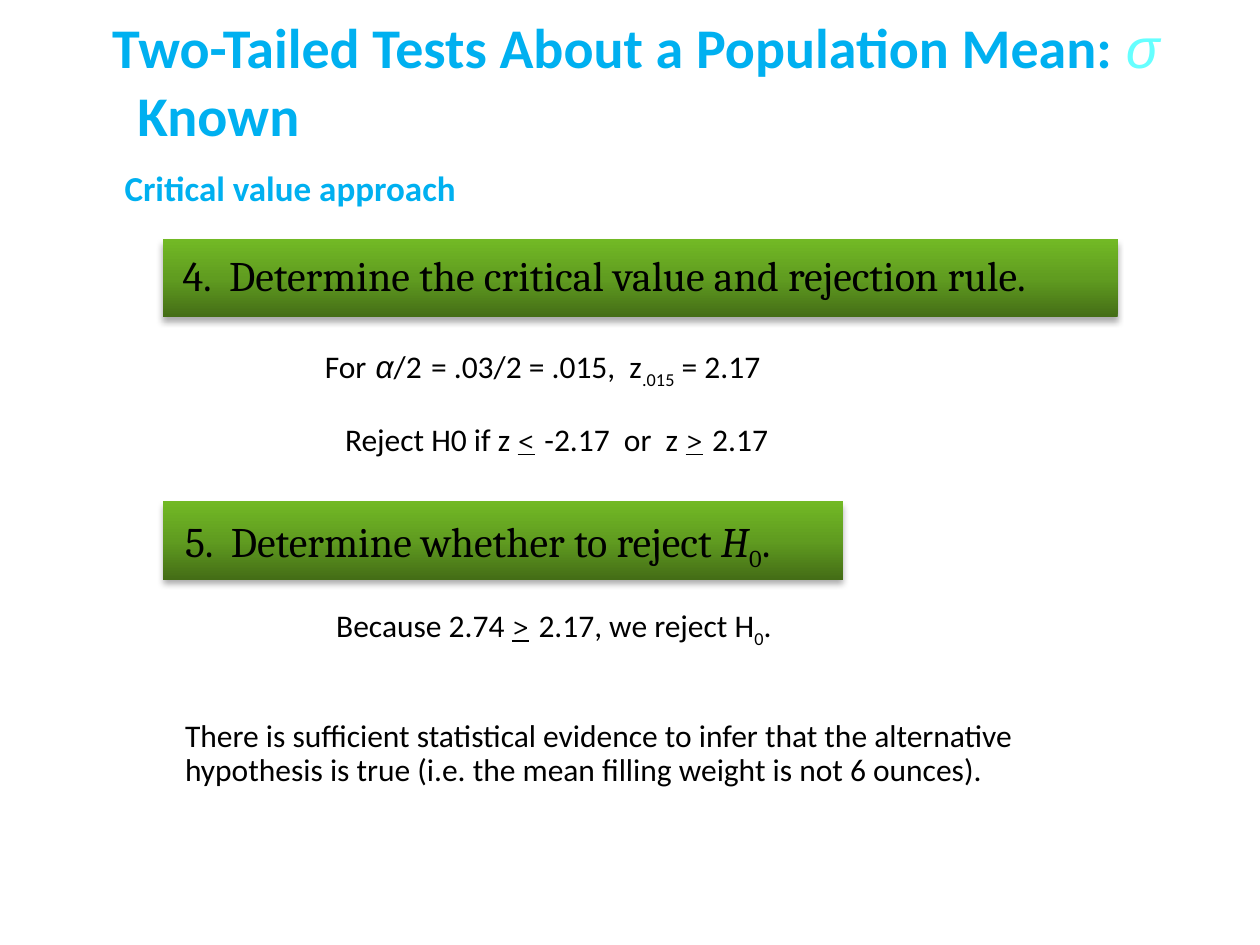
from lxml.etree import SubElement
from pptx import Presentation
from pptx.dml.color import RGBColor
from pptx.enum.shapes import MSO_SHAPE
from pptx.enum.text import MSO_ANCHOR, MSO_AUTO_SIZE, PP_ALIGN
from pptx.oxml.ns import qn
from pptx.util import Inches, Pt

BLUE, CYAN, BLACK = "00B0F0", "66FFFF", "000000"
GREENS = [(0, "446D16"), (50, "609C20"), (100, "72B925")]

# Run styles: font, size, extras
BODY = dict(font="Calibri", size=18)
SUB = dict(BODY, sub=True)
SIGN = dict(font="Cambria", size=18, underline=True)
STEP = dict(font="Cambria", size=24)
GAP = (" ", STEP)
HEADING = dict(font="Calibri", size=32, color=BLUE, bold=True)
SIGMA = dict(font="Arial", size=32, color=CYAN, bold=False, italic=True)

# Content
TITLE = [[("Two-Tailed Tests About a Population Mean: ", HEADING), ("σ", SIGMA)],
         [("Known", HEADING)]]
BANNERS = [(1.29, 1.9, 7.58, 0.62), (1.29, 3.98, 5.4, 0.62)]
LINES = [
    ((1.35, 1.93, 7.45, 0.5), [("4.  Determine the critical value and rejection rule.", STEP)]),
    ((2.48, 2.62, 3.92, 0.5), [
        ("For", BODY), GAP, ("α", dict(font="Arial", size=18, italic=True)), ("/2", BODY), GAP,
        ("= .03/2 = .015,  z", BODY), (".015", SUB), (" = 2.17", BODY)]),
    ((2.64, 3.2, 3.7, 0.5), [
        ("Reject H0 if z ", BODY), ("<", SIGN), GAP, ("-2.17  or  z ", BODY),
        (">", SIGN), GAP, ("2.17", BODY)]),
    ((1.37, 4.04, 5.28, 0.5), [
        ("5.  Determine whether to reject ", STEP), ("H", dict(STEP, italic=True)),
        ("0", dict(STEP, sub=True)), (".", STEP)]),
    ((2.57, 4.68, 3.82, 0.5), [
        ("Because 2.74 ", BODY), (">", SIGN), GAP, ("2.17, we reject H", BODY),
        ("0", SUB), (".", BODY)]),
]
# Wrapped text: place, runs, space before, line spacing
PARAGRAPHS = [
    ((0.89, 1.27, 5.93, 0.62),
     [("Critical value approach", dict(font="Calibri", size=20, color=BLUE, bold=True))], 4, 1.0),
    ((1.37, 5.67, 6.98, 1.4),
     [("There is sufficient statistical evidence to infer that the alternative "
       "hypothesis is true (i.e. the mean filling weight is not 6 ounces).", BODY)], 3.6, 0.9),
]


def rgb(color):
    return RGBColor.from_string(color)


def inches(place):
    return [Inches(length) for length in place]


def add_runs(para, runs):
    for text, style in runs:
        span = para.add_run()
        span.text = text
        font = span.font
        font.name, font.size = style["font"], Pt(style["size"])
        font.color.rgb = rgb(style.get("color", BLACK))
        font.bold, font.italic = style.get("bold"), style.get("italic")
        font.underline = style.get("underline")
        if style.get("sub"):
            span._r.get_or_add_rPr().set("baseline", "-25000")


def add_color(parent, color):
    return SubElement(parent, qn("a:srgbClr"), val=color)


def add_text(place, runs, wrap):
    box = page.shapes.add_textbox(*inches(place))
    frame = box.text_frame
    frame.word_wrap = wrap
    frame.auto_size = MSO_AUTO_SIZE.NONE if wrap else MSO_AUTO_SIZE.SHAPE_TO_FIT_TEXT
    para = frame.paragraphs[0]
    add_runs(para, runs)
    return para


def add_banner(place):
    banner = page.shapes.add_shape(MSO_SHAPE.RECTANGLE, *inches(place))
    banner.line.fill.background()
    # Three-stop gradient, dark at the bottom
    banner.fill.gradient()
    banner.fill.gradient_angle = 90
    stops = banner._element.spPr.find(qn("a:gradFill")).find(qn("a:gsLst"))
    for stop in list(stops):
        stops.remove(stop)
    for position, color in GREENS:
        add_color(SubElement(stops, qn("a:gs"), pos=str(position * 1000)), color)
    # Soft shadow below
    banner.shadow.inherit = False
    effects = banner._element.spPr.find(qn("a:effectLst"))
    shadow = SubElement(effects, qn("a:outerShdw"), blurRad=str(Pt(3.5)),
                        dist=str(Pt(2.2)), dir="5400000", rotWithShape="0")
    SubElement(add_color(shadow, BLACK), qn("a:alpha"), val="32000")


deck = Presentation()
deck.slide_width, deck.slide_height = Inches(10), Inches(7.5)
page = deck.slides.add_slide(deck.slide_layouts[5])

# Title, second line indented
title = page.shapes.title
title.left, title.top, title.width, title.height = inches((0.79, 0.19, 9.24, 0.89))
frame = title.text_frame
frame.auto_size, frame.word_wrap = MSO_AUTO_SIZE.NONE, True
frame.vertical_anchor = MSO_ANCHOR.MIDDLE
for index, runs in enumerate(TITLE):
    para = frame.add_paragraph() if index else frame.paragraphs[0]
    para.alignment = PP_ALIGN.LEFT
    para.space_before = Pt(0)
    para._p.get_or_add_pPr().set("marL", str(Inches(0.2 * index)))
    add_runs(para, runs)

# Banners, then the text over and between them
for place in BANNERS:
    add_banner(place)
for place, runs in LINES:
    add_text(place, runs, wrap=False)
for place, runs, before, spacing in PARAGRAPHS:
    para = add_text(place, runs, wrap=True)
    para.space_before, para.line_spacing = Pt(before), spacing

deck.save("out.pptx")
